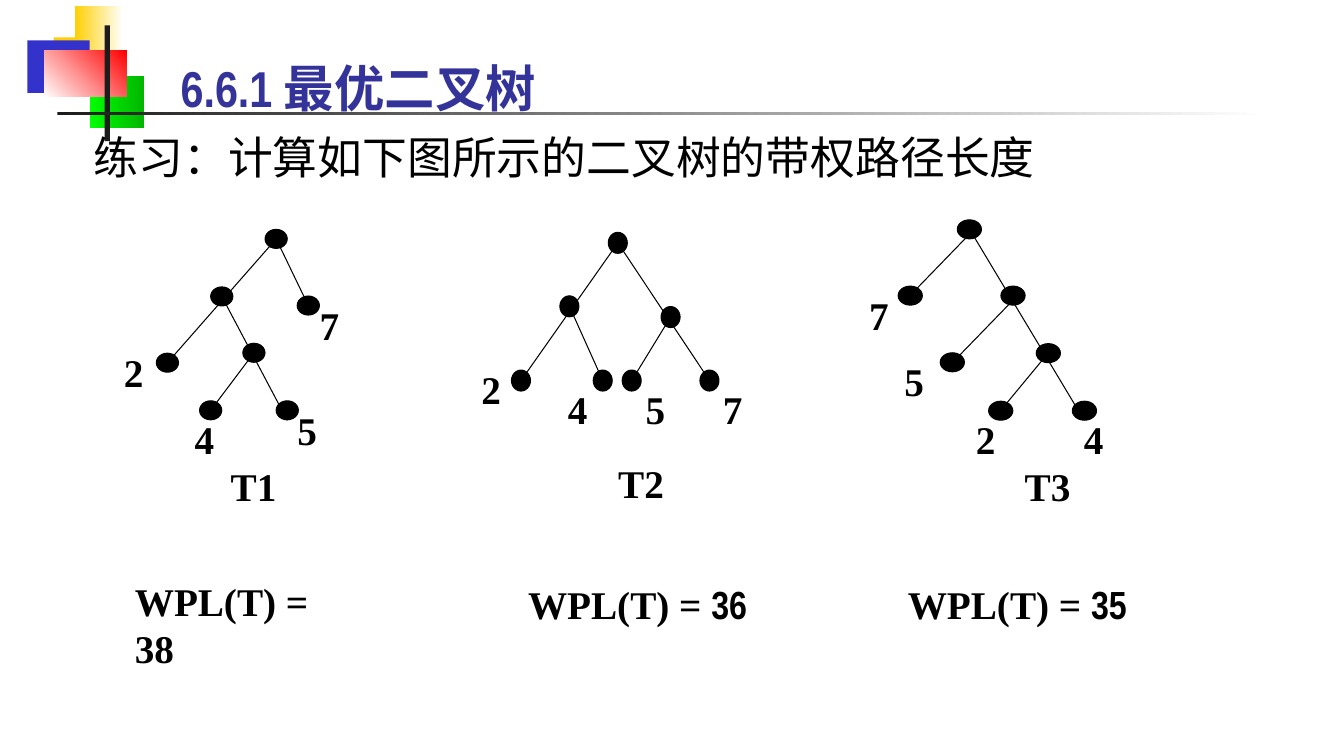
from lxml import etree
from pptx import Presentation
from pptx.dml.color import RGBColor
from pptx.enum import shapes, text
from pptx.util import Cm, Pt

SERIF = "Times New Roman"
NARROW = "Arial Narrow"
BLACK = "000000"
DRAWING_NS = "http://schemas.openxmlformats.org/drawingml/2006/main"

ORNAMENTS = [
    (1.35, 0.94, 1.63, 1.32, ["FFCF01"], 0),
    (1.88, 0.15, 1.22, 1.32, ["FFCF01", "FFFFFF"], 0),
    (0.69, 1.02, 1.57, 1.32, ["3333CC"], 0),
    (2.26, 1.91, 1.37, 1.32, ["00FF00", "00B600"], 0),
    (1.12, 1.27, 2.08, 1.17, ["FFFFFF", "FF0000"], 45),
    (2.64, 0.64, 0.13, 2.92, ["1C1C1C"], 0),
    (1.45, 2.82, 30.48, 0.08, ["1C1C1C", "FFFFFF"], 0),
]

TREES = [
    {
        "node_size": (0.56, 0.48),
        "nodes": [(6.96, 6.02), (5.59, 7.47), (7.77, 7.7), (4.22, 9.14),
                  (6.4, 8.89), (7.24, 10.34), (5.31, 10.34)],
        "edges": [(6.96, 6.02, 4.22, 9.14), (5.59, 7.47, 7.24, 10.59),
                  (6.4, 8.89, 5.31, 10.34), (6.96, 6.02, 7.77, 7.7)],
        "label_size": (1.3, 1.63),
        "weights": [("7", 7.65, 7.47), ("5", 7.09, 10.11),
                    ("4", 4.5, 10.34), ("2", 2.72, 8.66)],
        "caption": ("T1", 5.31, 11.53, 2.16),
        "result": ("38", SERIF, 3.15, 14.43),
    },
    {
        "node_size": (0.48, 0.53),
        "nodes": [(15.57, 6.12), (14.35, 7.72), (15.19, 9.59), (13.13, 9.59),
                  (16.9, 7.99), (17.88, 9.59), (15.92, 9.59)],
        "edges": [(15.57, 6.12, 13.13, 9.59), (14.35, 7.72, 15.19, 9.59),
                  (16.9, 7.99, 15.92, 9.59), (15.57, 6.12, 17.88, 9.59)],
        "label_size": (1.17, 1.83),
        "weights": [("7", 17.88, 9.58), ("5", 15.93, 9.58),
                    ("4", 13.97, 9.58), ("2", 11.79, 9.07)],
        "caption": ("T2", 15.19, 11.46, 1.93),
        "result": ("36", NARROW, 13.06, 14.5),
    },
    {
        "node_size": (0.61, 0.48),
        "nodes": [(24.43, 5.78), (25.53, 7.45), (22.94, 7.45), (24, 9.13),
                  (26.42, 8.9), (27.33, 10.35), (25.22, 10.35)],
        "edges": [(25.65, 7.44, 24, 9.14), (24.43, 5.77, 27.31, 10.57),
                  (26.42, 8.89, 25.22, 10.34), (24.56, 5.77, 22.94, 7.44)],
        "label_size": (1.42, 1.63),
        "weights": [("7", 21.44, 7.21), ("5", 22.33, 8.89),
                    ("4", 26.85, 10.34), ("2", 24.13, 10.34)],
        "caption": ("T3", 25.22, 11.53, 2.36),
        "result": ("35", NARROW, 22.63, 14.5),
    },
]


def colour(hex_string):
    return RGBColor.from_string(hex_string)


def write(paragraph, words, size=28, font=SERIF, bold=True, ink=BLACK,
          align=text.PP_ALIGN.LEFT):
    paragraph.alignment = align
    run = paragraph.add_run()
    run.text = words
    run.font.size = Pt(size)
    run.font.name = font
    run.font.bold = bold
    run.font.color.rgb = colour(ink)


def text_area(parent, left, top, width, height, wrap=False):
    frame = parent.add_textbox(Cm(left), Cm(top), Cm(width), Cm(height)).text_frame
    frame.word_wrap = wrap
    return frame.paragraphs[0]


def add_ornament(slide, left, top, width, height, tones, angle):
    block = slide.shapes.add_shape(shapes.MSO_SHAPE.RECTANGLE,
                                   Cm(left), Cm(top), Cm(width), Cm(height))
    block.shadow.inherit = False
    block.line.fill.background()
    if len(tones) == 1:
        block.fill.solid()
        block.fill.fore_color.rgb = colour(tones[0])
        return
    block.fill.gradient()
    block.fill.gradient_angle = angle
    for stop, tone in zip(block.fill.gradient_stops, tones):
        stop.color.rgb = colour(tone)


def black_line(outline):
    outline.color.rgb = colour(BLACK)
    outline.width = Pt(0.75)


def add_node(parent, x, y, width, height):
    node = parent.add_shape(shapes.MSO_SHAPE.OVAL, Cm(x - width / 2),
                            Cm(y - height / 2), Cm(width), Cm(height))
    node.shadow.inherit = False
    node.fill.solid()
    node.fill.fore_color.rgb = colour(BLACK)
    black_line(node.line)


def add_edge(parent, *ends):
    edge = parent.add_connector(shapes.MSO_CONNECTOR.STRAIGHT, *map(Cm, ends))
    black_line(edge.line)
    etree.SubElement(edge._element.spPr, f"{{{DRAWING_NS}}}effectLst")


def add_label(parent, words, left, top, width, height):
    write(text_area(parent, left, top, width, height), words,
          align=text.PP_ALIGN.CENTER)


def add_tree(slide, tree):
    group = slide.shapes.add_group_shape().shapes
    for x, y in tree["nodes"]:
        add_node(group, x, y, *tree["node_size"])
    for edge in tree["edges"]:
        add_edge(group, *edge)
    for weight in tree["weights"]:
        add_label(group, *weight, *tree["label_size"])
    add_label(group, *tree["caption"], tree["label_size"][1])


def add_result(slide, total, font, left, top):
    formula = text_area(slide.shapes, left, top, 6.1, 2.49)
    write(formula, "WPL(T) = ")
    write(formula, total, font=font)


def add_heading(slide, words):
    heading = slide.shapes.title
    heading.left, heading.top = Cm(2.59), Cm(0.74)
    heading.width, heading.height = Cm(17.68), Cm(2.34)
    frame = heading.text_frame
    frame.auto_size = text.MSO_AUTO_SIZE.NONE
    frame.vertical_anchor = text.MSO_ANCHOR.BOTTOM
    frame.margin_left = Cm(1.96)
    write(frame.paragraphs[0], words, size=36, font=NARROW, ink="333399")


def main():
    deck = Presentation()
    deck.slide_width, deck.slide_height = Cm(33.87), Cm(19.05)
    slide = deck.slides.add_slide(deck.slide_layouts[5])
    for ornament in ORNAMENTS:
        add_ornament(slide, *ornament)
    add_heading(slide, "6.6.1 最优二叉树")
    exercise = text_area(slide.shapes, 2.11, 3.15, 25.68, 1.63, wrap=True)
    write(exercise, "练习：计算如下图所示的二叉树的带权路径长度",
          size=32, font=NARROW, bold=False)
    for tree in TREES:
        add_tree(slide, tree)
        add_result(slide, *tree["result"])
    deck.save("out.pptx")


if __name__ == "__main__":
    main()
